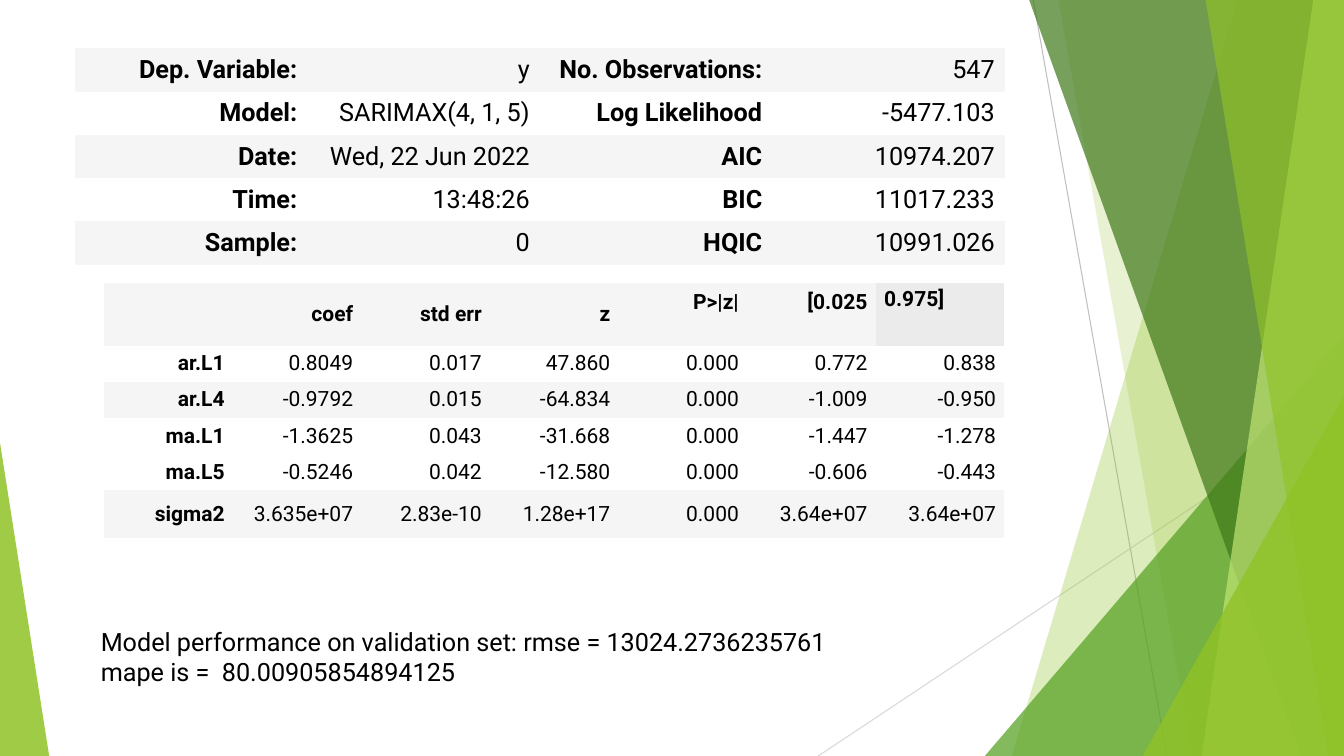
import pptx
import pptx.util
import pptx.oxml
import pptx.oxml.ns
import pptx.dml.color
import pptx.enum.shapes
import pptx.enum.text
from dataclasses import dataclass

Cm = pptx.util.Cm
RGB = pptx.dml.color.RGBColor.from_string
PP = pptx.enum.text.PP_ALIGN
ANCHOR = pptx.enum.text.MSO_ANCHOR
qn = pptx.oxml.ns.qn


@dataclass(frozen=True)
class Theme:
    font: str = "Roboto"
    text: str = "000000"
    band: str = "F5F5F5"
    plain: str = "FFFFFF"
    accent_cell: str = "EBEBEB"
    lime: str = "90C226"
    green: str = "54A021"
    forest: str = "3F7819"
    pale: str = "C0E474"
    ray: str = "BFBFBF"
    faint_ray: str = "D9D9D9"
    body: int = 18
    small: int = 15


theme = Theme()


def write(p, text, size, bold=False, align=PP.LEFT):
    p.alignment = align
    r = p.add_run()
    r.text = text
    style = {"name": theme.font, "size": pptx.util.Pt(size), "bold": bold}
    for key, value in style.items():
        setattr(r.font, key, value)
    r.font.color.rgb = RGB(theme.text)


def add_grid(s, left, top, col_width, heights, rows, size, banded, margins, is_bold):
    cols = len(rows[0])
    tb = s.shapes.add_table(len(rows), cols, Cm(left), Cm(top),
                            Cm(col_width * cols), Cm(sum(heights))).table
    tb.first_row = tb.horz_banding = False
    style = tb._tbl.tblPr.find(qn("a:tableStyleId"))
    style.text = "{2D5ABB26-0587-4C30-8999-92F81FD0307C}"
    for col in tb.columns:
        col.width = Cm(col_width)
    side, edge = margins
    cell_format = {"vertical_anchor": ANCHOR.MIDDLE,
                   "margin_left": Cm(side), "margin_right": Cm(side),
                   "margin_top": Cm(edge), "margin_bottom": Cm(edge)}
    for i, row in enumerate(rows):
        tb.rows[i].height = Cm(heights[i])
        for j, text in enumerate(row):
            cell = tb.cell(i, j)
            for key, value in cell_format.items():
                setattr(cell, key, value)
            cell.fill.solid()
            cell.fill.fore_color.rgb = RGB(theme.band if i in banded else theme.plain)
            if text:
                write(cell.text_frame.paragraphs[0], text, size, is_bold(i, j), PP.RIGHT)
    return tb


prs = pptx.Presentation()
prs.slide_width, prs.slide_height = Cm(33.87), Cm(19.05)
s = prs.slides.add_slide(prs.slide_layouts[6])
right, bottom = 33.87, 19.05

rays = [
    (26.04, 0, 29.41, bottom, theme.ray),
    (right, 10.24, 20.62, bottom, theme.faint_ray),
]
for x1, y1, x2, y2, color in rays:
    ln = s.shapes.add_connector(pptx.enum.shapes.MSO_CONNECTOR.STRAIGHT,
                                Cm(x1), Cm(y1), Cm(x2), Cm(y2))
    ln.line.color.rgb = RGB(color)
    ln.line.width = pptx.util.Pt(0.75)
    ln._element.spPr.append(pptx.oxml.parse_xml(
        '<a:effectLst xmlns:a="http://schemas.openxmlformats.org/drawingml/2006/main"/>'))

facets = [
    ("band", (31.19, 25.5), theme.lime, 30),
    ("band", (26.67, 30.05), theme.lime, 20),
    ("triangle", (24.82, 8.46, 9.05, 1), theme.green, 72),
    ("band", (25.93, 32.79), theme.forest, 70),
    ("band", (33.1, 30.28), theme.pale, 70),
    ("band", (30.38, 33.48), theme.lime, 65),
    ("triangle", (28.8, 9.98, 5.07, 1), theme.lime, 80),
    ("triangle", (0, 11.15, 1.24, 0), theme.lime, 85),
]
for kind, geometry, color, opacity in facets:
    if kind == "band":
        top_x, bottom_x = geometry
        fb = s.shapes.build_freeform(Cm(top_x), Cm(-0.02))
        fb.add_line_segments([(Cm(right), Cm(-0.02)), (Cm(right), Cm(bottom)),
                              (Cm(bottom_x), Cm(bottom))], close=True)
        sp = fb.convert_to_shape()
    else:
        left, top, width, apex = geometry
        sp = s.shapes.add_shape(pptx.enum.shapes.MSO_SHAPE.ISOSCELES_TRIANGLE,
                                Cm(left), Cm(top), Cm(width), Cm(bottom - top))
        sp.adjustments[0] = apex
    sp.shadow.inherit = False
    sp.line.fill.background()
    sp.fill.solid()
    sp.fill.fore_color.rgb = RGB(color)
    clr = sp._element.spPr.find(qn("a:solidFill"))[0]
    clr.append(pptx.oxml.parse_xml(
        '<a:alpha xmlns:a="http://schemas.openxmlformats.org/drawingml/2006/main" '
        f'val="{opacity * 1000}"/>'))

summary = [
    ("Dep. Variable:", "y", "No. Observations:", "547"),
    ("Model:", "SARIMAX(4, 1, 5)", "Log Likelihood", "-5477.103"),
    ("Date:", "Wed, 22 Jun 2022", "AIC", "10974.207"),
    ("Time:", "13:48:26", "BIC", "11017.233"),
    ("Sample:", "0", "HQIC", "10991.026"),
]
add_grid(s, 1.88, 1.22, 5.86, [1.09] * 5, summary, theme.body, {0, 2, 4},
         (0.25, 0.13), lambda i, j: j % 2 == 0)

tf = s.shapes.add_textbox(Cm(2.29), Cm(15.65), Cm(20.6), Cm(1.8)).text_frame
tf.word_wrap = True
write(tf.paragraphs[0], "Model performance on validation set: rmse = 13024.2736235761", theme.body)
write(tf.add_paragraph(), "mape is =  80.00905854894125", theme.body)

coefficients = [
    ("", "coef", "std err", "z", "P>|z|", "[0.025", "0.975]"),
    ("ar.L1", "0.8049", "0.017", "47.860", "0.000", "0.772", "0.838"),
    ("ar.L4", "-0.9792", "0.015", "-64.834", "0.000", "-1.009", "-0.950"),
    ("ma.L1", "-1.3625", "0.043", "-31.668", "0.000", "-1.447", "-1.278"),
    ("ma.L5", "-0.5246", "0.042", "-12.580", "0.000", "-0.606", "-0.443"),
    ("sigma2", "3.635e+07", "2.83e-10", "1.28e+17", "0.000", "3.64e+07", "3.64e+07"),
]
tb = add_grid(s, 2.63, 7.13, 3.24, [1.58] + [0.91] * 4 + [1.2], coefficients,
              theme.small, {0, 2, 5}, (0.21, 0.1), lambda i, j: i == 0 or j == 0)
for j in (4, 5):
    tb.cell(0, j).margin_bottom = Cm(0.71)
upper = tb.cell(0, 6)
upper.vertical_anchor = ANCHOR.TOP
upper.text_frame.paragraphs[0].alignment = PP.LEFT
upper.fill.fore_color.rgb = RGB(theme.accent_cell)

prs.save("out.pptx")
